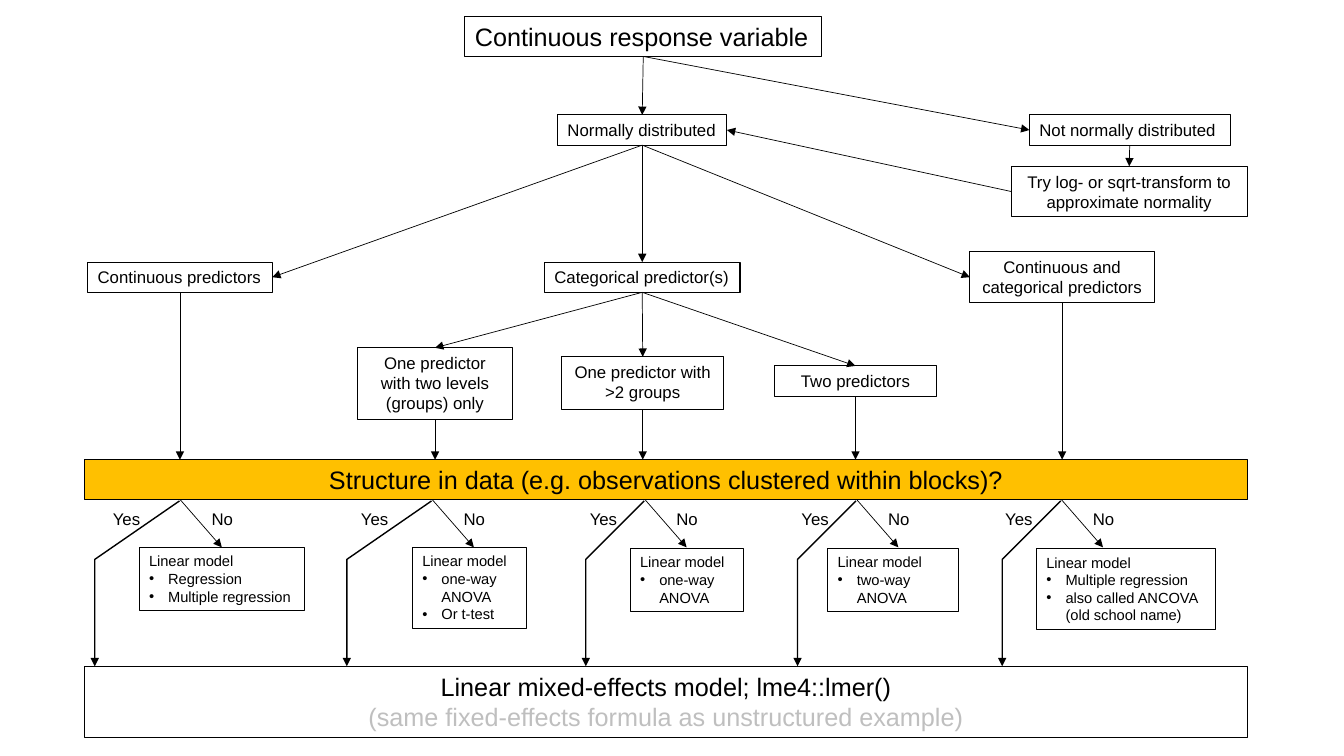
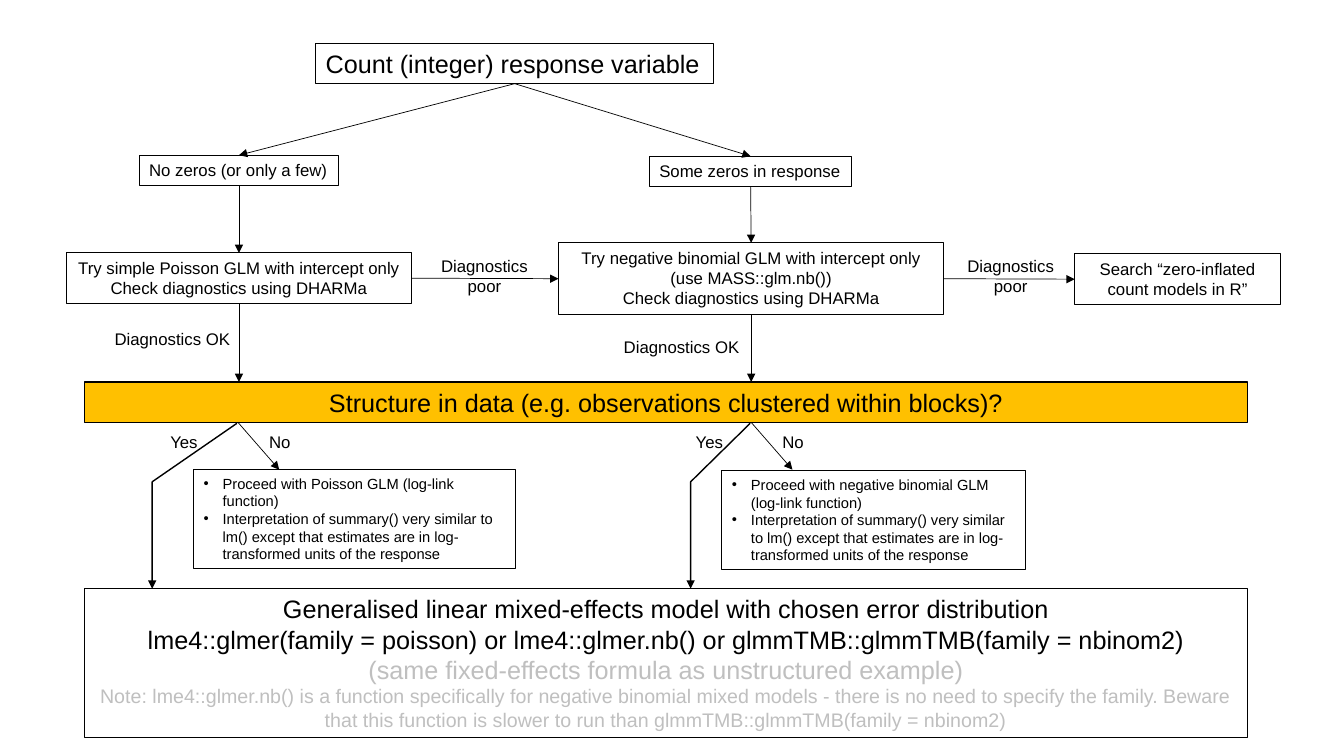
from lxml.etree import SubElement
from pptx import Presentation
from pptx.dml.color import RGBColor
from pptx.enum.shapes import MSO_CONNECTOR, MSO_SHAPE
from pptx.enum.text import MSO_ANCHOR, MSO_AUTO_SIZE, PP_ALIGN
from pptx.oxml.ns import qn
from pptx.util import Inches, Pt

BLACK = RGBColor(0x00, 0x00, 0x00)
GREY = RGBColor(0xBF, 0xBF, 0xBF)
AMBER = RGBColor(0xFF, 0xC0, 0x00)
FONT = "Arial"
TOP, LEFT, BOTTOM, RIGHT = range(4)
BAND_LEFT, BAND_WIDTH, BAND_HEIGHT = 0.845, 11.53, 0.4
BAND_LEFT = 0.84
BAND_TEXT = "Structure in data (e.g. observations clustered within blocks)?"
SAME_FORMULA = "(same fixed-effects formula as unstructured example)"
INTERPRETATION = (
    "Interpretation of summary() very similar to lm() except that estimates "
    "are in log-transformed units of the response"
)


def format_box(shape, position, text, size=12, wrap=True, first_bullet=None, outlined=True, fill=None):
    shape.left, shape.top, shape.width, shape.height = [Inches(value) for value in position]
    if outlined:
        shape.shadow.inherit = False
        shape.line.color.rgb = BLACK
        shape.line.width = Pt(0.75)
        if fill is None:
            shape.fill.background()
        else:
            shape.fill.solid()
            shape.fill.fore_color.rgb = fill
    text_frame = shape.text_frame
    text_frame.text = text
    text_frame.word_wrap = wrap
    text_frame.auto_size = MSO_AUTO_SIZE.NONE
    text_frame.vertical_anchor = MSO_ANCHOR.TOP
    centred = wrap and first_bullet is None
    for index, paragraph in enumerate(text_frame.paragraphs):
        paragraph.alignment = PP_ALIGN.CENTER if centred else PP_ALIGN.LEFT
        for run in paragraph.runs:
            run.font.name = FONT
            run.font.size = Pt(size)
            run.font.color.rgb = BLACK
        if first_bullet is not None and index >= first_bullet:
            properties = paragraph._p.get_or_add_pPr()
            properties.set("marL", str(Inches(0.19)))
            properties.set("indent", str(Inches(-0.19)))
            SubElement(properties, qn("a:buFont"), typeface=FONT)
            SubElement(properties, qn("a:buChar"), char="•")
    return shape


def style_arrow(shape, width=0.5):
    shape.line.color.rgb = BLACK
    shape.line.width = Pt(width)
    properties = shape.element.spPr
    SubElement(properties.find(qn("a:ln")), qn("a:tailEnd"), type="triangle")
    SubElement(properties, qn("a:effectLst"))


continuous_response = {
    "title": ((4.61, 0.16, 3.54, 0.4), "Continuous response variable"),
    "nodes": {
        "normal": ((5.53, 1.14, 1.68, 0.3), "Normally distributed", False),
        "not normal": ((10.21, 1.14, 1.99, 0.3), "Not normally distributed", False),
        "transform": ((10.03, 1.65, 2.34, 0.5), "Try log- or sqrt-transform to approximate normality", True),
        "continuous": ((0.87, 2.6, 1.83, 0.3), "Continuous predictors", False),
        "categorical": ((5.4, 2.6, 1.94, 0.3), "Categorical predictor(s)", False),
        "both": ((9.62, 2.5, 1.83, 0.5), "Continuous and categorical predictors", True),
        "two levels": ((3.55, 3.45, 1.53, 0.71), "One predictor with two levels (groups) only", True),
        "more groups": ((5.57, 3.54, 1.61, 0.52), "One predictor with >2 groups", True),
        "two predictors": ((7.68, 3.63, 1.61, 0.3), "Two predictors", True),
    },
    "edges": [
        ("title", BOTTOM, "normal", TOP),
        ("title", BOTTOM, "not normal", LEFT),
        ("not normal", BOTTOM, "transform", TOP),
        ("transform", LEFT, "normal", RIGHT),
        ("normal", BOTTOM, "continuous", RIGHT),
        ("normal", BOTTOM, "categorical", TOP),
        ("normal", BOTTOM, "both", LEFT),
        ("categorical", BOTTOM, "two levels", TOP),
        ("categorical", BOTTOM, "more groups", TOP),
        ("categorical", BOTTOM, "two predictors", TOP),
    ],
    "band_feeders": ["continuous", "two levels", "more groups", "two predictors", "both"],
    "labels": [],
    "band_top": 4.56,
    "first_bullet": 1,
    "branches": [
        (1.79, 0.85, 0.93, (1.38, 5.43, 1.64, 0.63), "Linear model\nRegression\nMultiple regression"),
        (4.29, 0.85, 0.97, (4.09, 5.43, 1.13, 0.81), "Linear model\none-way ANOVA\nOr t-test"),
        (6.4, 0.59, 0.81, (6.25, 5.44, 1.12, 0.63), "Linear model\none-way ANOVA"),
        (8.5, 0.59, 0.81, (8.21, 5.44, 1.3, 0.63), "Linear model\ntwo-way ANOVA"),
        (10.53, 0.59, 0.82, (10.28, 5.44, 1.78, 0.81),
         "Linear model\nMultiple regression\nalso called ANCOVA (old school name)"),
    ],
    "outcome_height": 0.71,
    "outcome": [
        ("Linear mixed-effects model; lme4::lmer()", 18, BLACK),
        (SAME_FORMULA, 18, GREY),
    ],
}

count_response = {
    "title": ((3.13, 0.43, 3.95, 0.4), "Count (integer) response variable"),
    "nodes": {
        "no zeros": ((1.38, 1.54, 1.98, 0.3), "No zeros (or only a few)", False),
        "some zeros": ((6.44, 1.55, 2.01, 0.3), "Some zeros in response", False),
        "poisson": ((0.66, 2.51, 3.42, 0.5),
                    "Try simple Poisson GLM with intercept only\nCheck diagnostics using DHARMa", True),
        "negative binomial": ((5.54, 2.41, 3.82, 0.71),
                              "Try negative binomial GLM with intercept only\n"
                              "(use MASS::glm.nb())\nCheck diagnostics using DHARMa", True),
        "zero-inflated": ((10.66, 2.52, 2.04, 0.5), "Search “zero-inflated count models in R”", True),
    },
    "edges": [
        ("title", BOTTOM, "no zeros", TOP),
        ("title", BOTTOM, "some zeros", TOP),
        ("no zeros", BOTTOM, "poisson", TOP),
        ("some zeros", BOTTOM, "negative binomial", TOP),
        ("poisson", RIGHT, "negative binomial", LEFT),
        ("negative binomial", RIGHT, "zero-inflated", LEFT),
    ],
    "band_feeders": ["poisson", "negative binomial"],
    "labels": [
        ((4.14, 2.49, 1.33, 0.5), "Diagnostics poor"),
        ((9.36, 2.49, 1.33, 0.5), "Diagnostics poor"),
        ((0.84, 3.21, 1.74, 0.3), "Diagnostics OK"),
        ((5.89, 3.29, 1.74, 0.3), "Diagnostics OK"),
    ],
    "band_top": 3.79,
    "first_bullet": 0,
    "branches": [
        (2.36, 0.85, 0.93, (1.92, 4.66, 3.19, 0.98),
         "Proceed with Poisson GLM (log-link function)\n" + INTERPRETATION),
        (7.45, 0.6, 0.81, (7.16, 4.67, 3.01, 0.98),
         "Proceed with negative binomial GLM (log-link function)\n" + INTERPRETATION),
    ],
    "outcome_height": 1.48,
    "outcome": [
        ("Generalised linear mixed-effects model with chosen error distribution", 18, BLACK),
        ("lme4::glmer(family = poisson) or lme4::glmer.nb() or glmmTMB::glmmTMB(family = nbinom2)", 18, BLACK),
        (SAME_FORMULA, 18, GREY),
        ("Note: lme4::glmer.nb() is a function specifically for negative binomial mixed models - "
         "there is no need to specify the family. Beware that this function is slower to run than "
         "glmmTMB::glmmTMB(family = nbinom2)", 14, GREY),
    ],
}

presentation = Presentation()
presentation.slide_width = Inches(13.33)
presentation.slide_height = Inches(7.5)
title_only = presentation.slide_layouts[5]

for chart in (continuous_response, count_response):
    slide = presentation.slides.add_slide(title_only)
    shapes = slide.shapes
    band_top = chart["band_top"]
    band_bottom = band_top + BAND_HEIGHT
    outcome_top = band_bottom + 1.65

    position, text = chart["title"]
    nodes = {"title": format_box(shapes.title, position, text, size=18, wrap=False)}
    for name, (position, text, wrap) in chart["nodes"].items():
        box = shapes.add_shape(MSO_SHAPE.RECTANGLE, 0, 0, 0, 0)
        nodes[name] = format_box(box, position, text, wrap=wrap)

    band = shapes.add_shape(MSO_SHAPE.RECTANGLE, 0, 0, 0, 0)
    format_box(band, (BAND_LEFT, band_top, BAND_WIDTH, BAND_HEIGHT), BAND_TEXT, size=18, fill=AMBER)

    outcome = shapes.add_shape(MSO_SHAPE.RECTANGLE, 0, 0, 0, 0)
    outcome_text = "\n".join(line for line, size, color in chart["outcome"])
    format_box(outcome, (BAND_LEFT, outcome_top, BAND_WIDTH, chart["outcome_height"]), outcome_text)
    for paragraph, (line, size, color) in zip(outcome.text_frame.paragraphs, chart["outcome"]):
        paragraph.runs[0].font.size = Pt(size)
        paragraph.runs[0].font.color.rgb = color

    for start, start_site, end, end_site in chart["edges"]:
        arrow = shapes.add_connector(MSO_CONNECTOR.STRAIGHT, 0, 0, 0, 0)
        arrow.begin_connect(nodes[start], start_site)
        arrow.end_connect(nodes[end], end_site)
        style_arrow(arrow)

    for name in chart["band_feeders"]:
        node = nodes[name]
        center = node.left + node.width // 2
        arrow = shapes.add_connector(
            MSO_CONNECTOR.STRAIGHT, center, node.top + node.height, center, Inches(band_top))
        arrow.begin_connect(node, BOTTOM)
        style_arrow(arrow)

    labels = list(chart["labels"])
    for x, reach, yes_offset, position, text in chart["branches"]:
        box = shapes.add_shape(MSO_SHAPE.RECTANGLE, 0, 0, 0, 0)
        format_box(box, position, text, size=10.5, first_bullet=chart["first_bullet"])
        labels.append(((x - yes_offset, band_bottom + 0.04, 0.79, 0.3), "Yes"))
        labels.append(((x + 0.02, band_bottom + 0.04, 0.79, 0.3), "No"))

        no_arrow = shapes.add_connector(
            MSO_CONNECTOR.STRAIGHT, Inches(x), Inches(band_bottom),
            Inches(x + 0.41), Inches(band_bottom + 0.47))
        style_arrow(no_arrow)

        builder = shapes.build_freeform(Inches(x - 0.01), Inches(band_bottom + 0.01))
        elbow = Inches(x - reach)
        builder.add_line_segments(
            [(elbow, Inches(band_bottom + 0.59)), (elbow, Inches(outcome_top))], close=False)
        yes_arrow = builder.convert_to_shape()
        yes_arrow.fill.background()
        style_arrow(yes_arrow, width=1)

    for position, text in labels:
        format_box(shapes.add_textbox(0, 0, 0, 0), position, text, outlined=False)

presentation.save("out.pptx")
